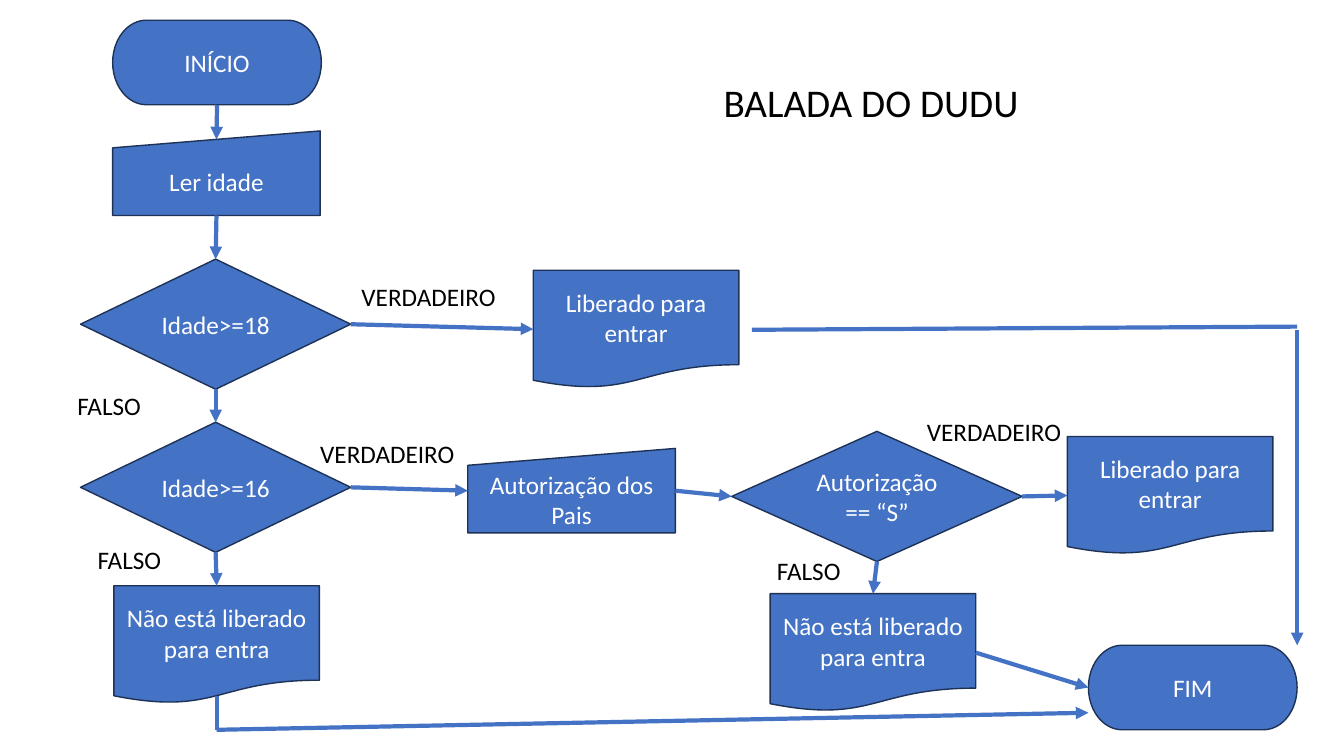
from dataclasses import dataclass
from typing import Any, Optional

from lxml.etree import SubElement
from pptx import Presentation
from pptx.dml.color import RGBColor
from pptx.enum.shapes import MSO_CONNECTOR as Wire, MSO_SHAPE as Kind
from pptx.enum.text import MSO_ANCHOR as Anchor, MSO_AUTO_SIZE as Fit, PP_ALIGN as Align
from pptx.oxml.ns import qn
from pptx.util import Cm, Pt


# Colours and type sizes
@dataclass(frozen=True)
class Theme:
    font: str = "Calibri"
    fill: str = "4472C4"
    edge: str = "1E3256"
    light: str = "FFFFFF"
    dark: str = "000000"
    text: int = 18
    title: int = 28
    thin: int = 1
    thick: int = 3


@dataclass(frozen=True)
class Node:
    name: str
    kind: Any
    text: str
    left: float
    top: float
    width: Optional[float] = None


@dataclass(frozen=True)
class Label:
    text: str
    left: float
    top: float


@dataclass(frozen=True)
class End:
    node: str
    side: int


@dataclass(frozen=True)
class Point:
    x: float
    y: float


@dataclass(frozen=True)
class Link:
    start: Any
    stop: Any
    arrow: bool = True


THEME = Theme()
TOP, LEFT, BOTTOM, RIGHT = range(4)
SIZES = {
    Kind.FLOWCHART_TERMINATOR: (5.26, 2.13),
    Kind.FLOWCHART_MANUAL_INPUT: (5.23, 2.13),
    Kind.FLOWCHART_DECISION: (6.81, 3.28),
    Kind.FLOWCHART_DOCUMENT: (5.18, 2.97),
}
WIDTHS = {"VERDADEIRO": 3.94, "FALSO": 2.13}
SLOPE = 0.1  # drop at the middle of a manual input's top edge

NODES = [
    Node("start", Kind.FLOWCHART_TERMINATOR, "INÍCIO", 2.84, 0.51),
    Node("read", Kind.FLOWCHART_MANUAL_INPUT, "Ler idade", 2.84, 3.3),
    Node("adult", Kind.FLOWCHART_DECISION, "Idade>=18", 2.03, 6.53),
    Node("enter", Kind.FLOWCHART_DOCUMENT, "Liberado para entrar", 13.44, 6.81),
    Node("teen", Kind.FLOWCHART_DECISION, "Idade>=16", 2.03, 10.64),
    Node("signed", Kind.FLOWCHART_DECISION, "Autorização == “S”", 18.44, 10.87, 7.32),
    Node("parents", Kind.FLOWCHART_MANUAL_INPUT, "Autorização dos Pais", 11.79, 11.3),
    Node("young", Kind.FLOWCHART_DOCUMENT, "Não está liberado para entra", 2.87, 14.76),
    Node("denied", Kind.FLOWCHART_DOCUMENT, "Não está liberado para entra", 19.41, 14.96),
    Node("allowed", Kind.FLOWCHART_DOCUMENT, "Liberado para entrar", 26.9, 11),
    Node("end", Kind.FLOWCHART_TERMINATOR, "FIM", 27.43, 16.26),
]
LABELS = [
    Label("VERDADEIRO", 8.86, 6.96),
    Label("VERDADEIRO", 7.82, 10.92),
    Label("VERDADEIRO", 23.11, 10.36),
    Label("FALSO", 1.7, 9.7),
    Label("FALSO", 2.21, 13.59),
    Label("FALSO", 19.33, 13.87),
]
LINKS = [
    Link(End("start", BOTTOM), End("read", TOP)),
    Link(End("read", BOTTOM), End("adult", TOP)),
    Link(End("adult", BOTTOM), End("teen", TOP)),
    Link(End("adult", RIGHT), End("enter", LEFT)),
    Link(End("teen", BOTTOM), End("young", TOP)),
    Link(End("teen", RIGHT), End("parents", LEFT)),
    Link(End("parents", RIGHT), End("signed", LEFT)),
    Link(End("signed", RIGHT), End("allowed", LEFT)),
    Link(End("signed", BOTTOM), End("denied", TOP)),
    Link(End("denied", RIGHT), End("end", LEFT)),
    Link(Point(5.46, 17.55), Point(5.46, 18.39), False),
    Link(Point(5.46, 18.39), Point(27.43, 17.96)),
    Link(Point(18.95, 8.31), Point(32.69, 8.23), False),
    Link(Point(32.69, 8.31), Point(32.69, 16.26)),
]


def style(item: Any, form: dict) -> None:
    for key, value in form.items():
        setattr(item, key, value)


def write(shape: Any, text: str, size: int, color: str, align: Any, frame: dict) -> None:
    body = shape.text_frame
    body.text = text
    style(body, frame)
    line = body.paragraphs[0]
    line.alignment = align
    style(line.font, {"name": THEME.font, "size": Pt(size), "bold": False})
    line.font.color.rgb = RGBColor.from_string(color)


def stroke(line: Any, color: str, width: int) -> None:
    line.color.rgb = RGBColor.from_string(color)
    line.width = Pt(width)


def add_node(slide: Any, node: Node) -> Any:
    width, height = SIZES[node.kind]
    shape = slide.shapes.add_shape(
        node.kind, Cm(node.left), Cm(node.top), Cm(node.width or width), Cm(height))
    shape.shadow.inherit = False
    shape.fill.solid()
    shape.fill.fore_color.rgb = RGBColor.from_string(THEME.fill)
    stroke(shape.line, THEME.edge, THEME.thin)
    write(shape, node.text, THEME.text, THEME.light, Align.CENTER,
          {"word_wrap": True, "vertical_anchor": Anchor.MIDDLE})
    return shape


def add_label(slide: Any, label: Label) -> None:
    box = slide.shapes.add_textbox(
        Cm(label.left), Cm(label.top), Cm(WIDTHS[label.text]), Cm(1.02))
    write(box, label.text, THEME.text, THEME.dark, Align.LEFT,
          {"word_wrap": False, "auto_size": Fit.SHAPE_TO_FIT_TEXT})


def add_link(slide: Any, link: Link, nodes: dict) -> None:
    ends = [Cm(v) for p in (link.start, link.stop)
            for v in ((p.x, p.y) if isinstance(p, Point) else (0, 0))]
    wire = slide.shapes.add_connector(Wire.STRAIGHT, *ends)
    for end, join in ((link.start, wire.begin_connect), (link.stop, wire.end_connect)):
        if isinstance(end, End):
            join(nodes[end.node], end.side)
    if link.stop == End("read", TOP):
        wire.end_y += int(nodes["read"].height * SLOPE)
    stroke(wire.line, THEME.fill, THEME.thick)
    props = wire.element.spPr
    if link.arrow:
        SubElement(props.find(qn("a:ln")), qn("a:tailEnd"), type="triangle")
    SubElement(props, qn("a:effectLst"))


def main() -> None:
    deck = Presentation()
    style(deck, {"slide_width": Cm(33.87), "slide_height": Cm(19.05)})
    slide = deck.slides.add_slide(deck.slide_layouts[5])

    # Title
    title = slide.shapes.title
    style(title, {"left": Cm(17.98), "top": Cm(1.85), "width": Cm(8.05), "height": Cm(1.45)})
    write(title, "BALADA DO DUDU", THEME.title, THEME.dark, Align.LEFT,
          {"word_wrap": False, "vertical_anchor": Anchor.TOP,
           "auto_size": Fit.SHAPE_TO_FIT_TEXT})

    # Flowchart
    nodes = {node.name: add_node(slide, node) for node in NODES}
    for link in LINKS:
        add_link(slide, link, nodes)
    for label in LABELS:
        add_label(slide, label)

    deck.save("out.pptx")


if __name__ == "__main__":
    main()
